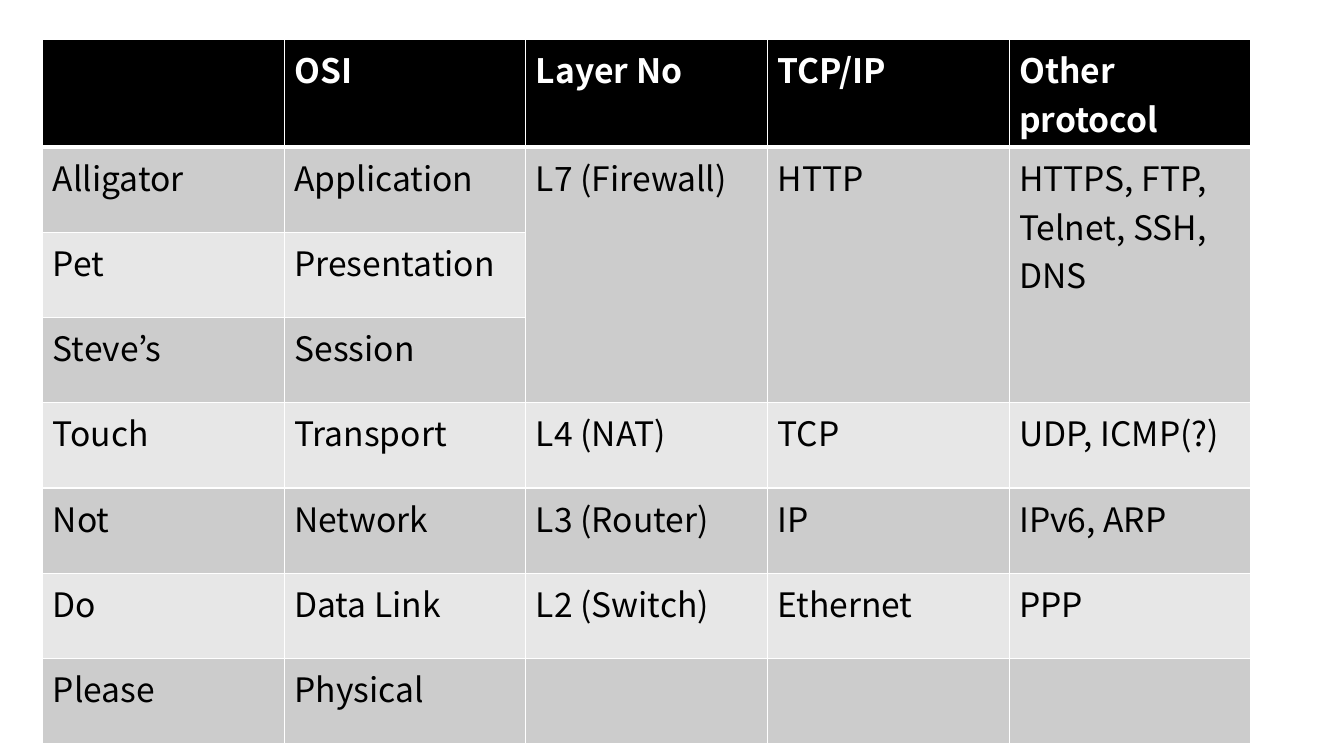
import pptx
import pptx.dml.color
import pptx.oxml.ns
import pptx.util
from lxml import etree

Pt = pptx.util.Pt
RGBColor = pptx.dml.color.RGBColor
qn = pptx.oxml.ns.qn

BLACK = RGBColor(0x00, 0x00, 0x00)
WHITE = RGBColor(0xFF, 0xFF, 0xFF)
DARK_BAND = RGBColor(0xCC, 0xCC, 0xCC)
LIGHT_BAND = RGBColor(0xE7, 0xE7, 0xE7)
FONT = "Noto Sans CJK KR"
COL_WIDTH = 172.6
ROW_HEIGHT = 60.84

LAYERS = [
    ["", "OSI", "Layer No", "TCP/IP", "Other protocol"],
    ["Alligator", "Application", "L7 (Firewall)", "HTTP", "HTTPS, FTP, Telnet, SSH, DNS"],
    ["Pet", "Presentation", "", "", ""],
    ["Steve’s", "Session", "", "", ""],
    ["Touch", "Transport", "L4 (NAT)", "TCP", "UDP, ICMP(?)"],
    ["Not", "Network", "L3 (Router)", "IP", "IPv6, ARP"],
    ["Do", "Data Link", "L2 (Switch)", "Ethernet", "PPP"],
    ["Please", "Physical", "", "", ""],
]


def add_border(cell, side, width):
    """Draw a white line on one side (L, R, T or B) of a cell."""
    tc_pr = cell._tc.get_or_add_tcPr()
    ln = etree.SubElement(tc_pr, qn(f"a:ln{side}"), w=str(Pt(width)))
    fill = etree.SubElement(ln, qn("a:solidFill"))
    etree.SubElement(fill, qn("a:srgbClr"), val=str(WHITE))


prs = pptx.Presentation()
prs.slide_width, prs.slide_height = Pt(960), Pt(540)
s = prs.slides.add_slide(prs.slide_layouts[6])

n_rows, n_cols = len(LAYERS), len(LAYERS[0])
table = s.shapes.add_table(n_rows, n_cols, Pt(30.5), Pt(28.4),
                           Pt(COL_WIDTH * n_cols), Pt(ROW_HEIGHT * n_rows)).table
for column in table.columns:
    column.width = Pt(COL_WIDTH)
for row in table.rows:
    row.height = Pt(ROW_HEIGHT)

for i, texts in enumerate(LAYERS):
    header = i == 0
    band = BLACK if header else DARK_BAND if i % 2 else LIGHT_BAND
    for j, text in enumerate(texts):
        cell = table.cell(i, j)
        for side in "LRTB":
            heavy = (header and side == "B") or (i == 1 and side == "T")
            add_border(cell, side, 3 if heavy else 1)
        cell.fill.solid()
        cell.fill.fore_color.rgb = band
        if text:
            r = cell.text_frame.paragraphs[0].add_run()
            r.text = text
            r.font.name = FONT
            r.font.size = Pt(24)
            r.font.bold = header
            r.font.color.rgb = WHITE if header else BLACK

# The top three OSI layers share one entry in the last three columns
for j in range(2, n_cols):
    table.cell(1, j).merge(table.cell(3, j))

prs.save("out.pptx")
